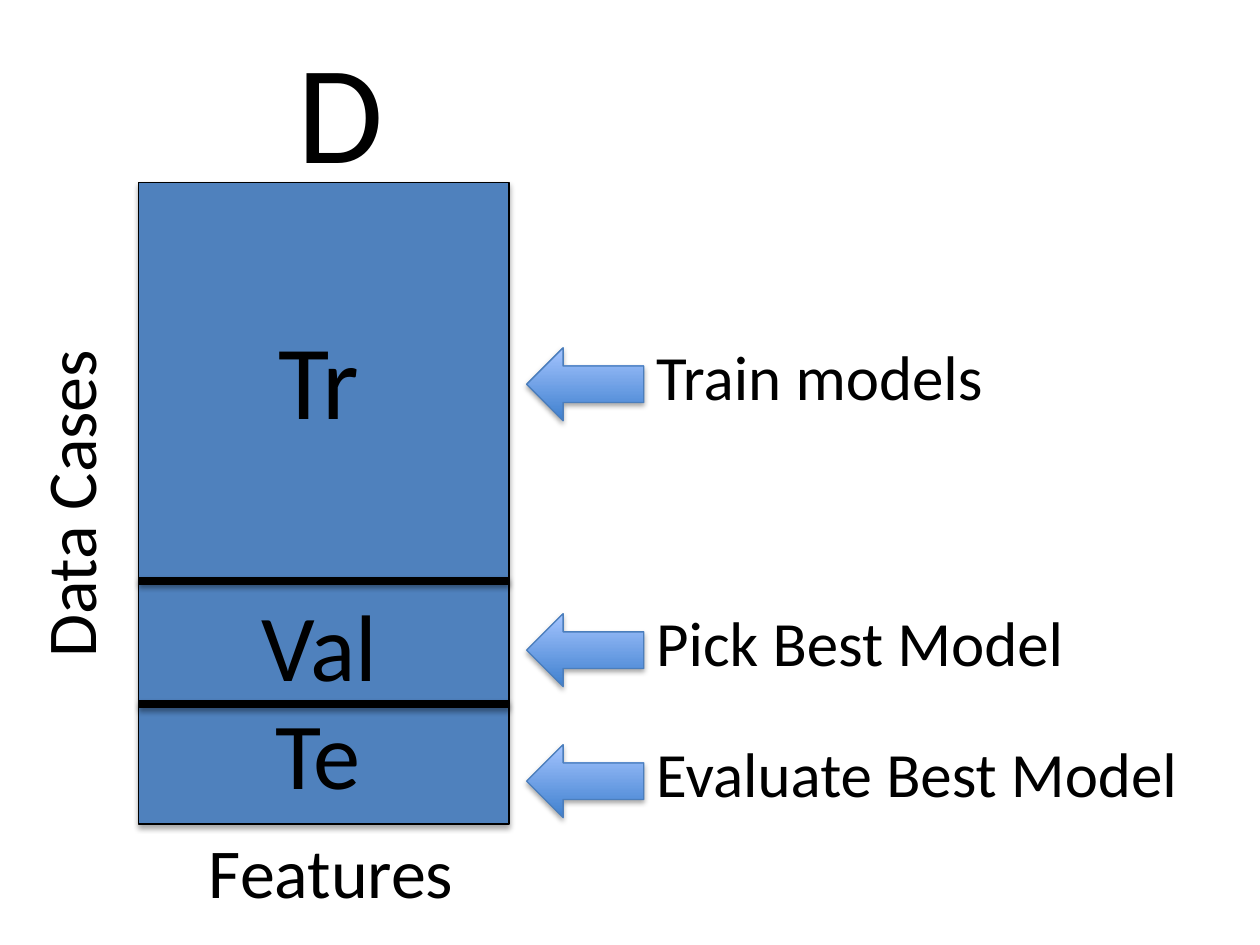
from dataclasses import dataclass

import lxml.etree
import pptx
import pptx.dml.color
import pptx.enum.shapes
import pptx.enum.text
import pptx.oxml.ns
import pptx.util

Inches = pptx.util.Inches
Pt = pptx.util.Pt
Color = pptx.dml.color.RGBColor
ShapeType = pptx.enum.shapes.MSO_SHAPE


@dataclass(frozen=True)
class Theme:
    font: str = "Calibri"
    ink: str = "000000"
    matrix: str = "4F81BD"
    arrow_bottom: str = "3F80CE"
    arrow_top: str = "A4C4FF"
    arrow_line: str = "4B7EBC"
    name_size: int = 80
    train_size: int = 60
    part_size: int = 54
    axis_size: int = 40
    step_size: int = 36
    outline: float = 0.75
    divider: float = 4.5


@dataclass(frozen=True)
class Label:
    text: str
    left: float
    top: float
    width: float
    height: float
    size: int
    rotation: float = 0


@dataclass(frozen=True)
class Step:
    text: str
    top: float
    width: float


THEME = Theme()
MATRIX_LEFT, MATRIX_TOP, MATRIX_WIDTH, MATRIX_HEIGHT = 1.1, 1.45, 2.94, 5.09
DIVIDERS = (4.61, 5.59)
ARROW_LEFT, ARROW_WIDTH, ARROW_HEIGHT, ARROW_DROP = 4.18, 0.93, 0.58, 0.13
STEP_HEIGHT = 0.71

LABELS = (
    Label("D", 2.26, 0.14, 0.89, 1.45, THEME.name_size),
    Label("Tr", 2.11, 2.45, 0.91, 1.11, THEME.train_size),
    Label("Val", 1.98, 4.61, 1.17, 1.01, THEME.part_size),
    Label("Te", 2.09, 5.47, 0.95, 1.01, THEME.part_size),
    Label("Data Cases", -0.8, 3.59, 2.69, 0.77, THEME.axis_size, 270),
    Label("Features", 1.56, 6.53, 2.18, 0.77, THEME.axis_size),
)
STEPS = (
    Step("Train models", 2.63, 2.86),
    Step("Pick Best Model", 4.74, 3.47),
    Step("Evaluate Best Model", 5.78, 4.41),
)


def add_shadow(shape, distance: float, opacity: int) -> None:
    qn = pptx.oxml.ns.qn
    properties = shape._element.spPr
    effects = properties.find(qn("a:effectLst"))
    if effects is None:
        effects = lxml.etree.SubElement(properties, qn("a:effectLst"))
    shadow = lxml.etree.SubElement(
        effects, qn("a:outerShdw"), blurRad=str(Pt(3.1)), dist=str(Pt(distance)),
        dir="5400000", rotWithShape="0",
    )
    color = lxml.etree.SubElement(shadow, qn("a:srgbClr"), val=THEME.ink)
    lxml.etree.SubElement(color, qn("a:alpha"), val=str(opacity * 1000))


def set_line(shape, color: str, width: float) -> None:
    shape.line.color.rgb = Color.from_string(color)
    shape.line.width = Pt(width)


def add_box(slide, kind, left: float, top: float, width: float, height: float, line: str):
    shape = slide.shapes.add_shape(
        kind, Inches(left), Inches(top), Inches(width), Inches(height)
    )
    shape.shadow.inherit = False
    set_line(shape, line, THEME.outline)
    add_shadow(shape, distance=1.8, opacity=35)
    return shape


def add_matrix(slide) -> None:
    matrix = add_box(
        slide, ShapeType.RECTANGLE, MATRIX_LEFT, MATRIX_TOP,
        MATRIX_WIDTH, MATRIX_HEIGHT, THEME.ink,
    )
    matrix.fill.solid()
    matrix.fill.fore_color.rgb = Color.from_string(THEME.matrix)


def add_divider(slide, top: float) -> None:
    divider = slide.shapes.add_connector(
        pptx.enum.shapes.MSO_CONNECTOR.STRAIGHT, Inches(MATRIX_LEFT), Inches(top),
        Inches(MATRIX_LEFT + MATRIX_WIDTH), Inches(top),
    )
    set_line(divider, THEME.ink, THEME.divider)
    add_shadow(divider, distance=1.6, opacity=38)


def add_text(
    slide, text: str, *, left: float, top: float, width: float, height: float,
    size: int, rotation: float = 0,
) -> None:
    shape = slide.shapes.add_textbox(
        Inches(left), Inches(top), Inches(width), Inches(height)
    )
    shape.rotation = rotation
    frame = shape.text_frame
    frame.word_wrap = False
    frame.auto_size = pptx.enum.text.MSO_AUTO_SIZE.SHAPE_TO_FIT_TEXT
    run = frame.paragraphs[0].add_run()
    run.text = text
    run.font.name = THEME.font
    run.font.size = Pt(size)
    run.font.color.rgb = Color.from_string(THEME.ink)


def add_step(slide, step: Step) -> None:
    add_text(
        slide, step.text, left=ARROW_LEFT + ARROW_WIDTH, top=step.top,
        width=step.width, height=STEP_HEIGHT, size=THEME.step_size,
    )
    arrow = add_box(
        slide, ShapeType.LEFT_ARROW, ARROW_LEFT, step.top + ARROW_DROP,
        ARROW_WIDTH, ARROW_HEIGHT, THEME.arrow_line,
    )
    arrow.fill.gradient()
    arrow.fill.gradient_angle = 90
    for stop, color in zip(
        arrow.fill.gradient_stops, (THEME.arrow_bottom, THEME.arrow_top)
    ):
        stop.color.rgb = Color.from_string(color)


def main() -> None:
    presentation = pptx.Presentation()
    presentation.slide_width = Inches(10)
    presentation.slide_height = Inches(7.5)
    slide = presentation.slides.add_slide(presentation.slide_layouts[6])
    add_matrix(slide)
    for top in DIVIDERS:
        add_divider(slide, top)
    for label in LABELS:
        add_text(
            slide, label.text, left=label.left, top=label.top, width=label.width,
            height=label.height, size=label.size, rotation=label.rotation,
        )
    for step in STEPS:
        add_step(slide, step)
    presentation.save("out.pptx")


main()
